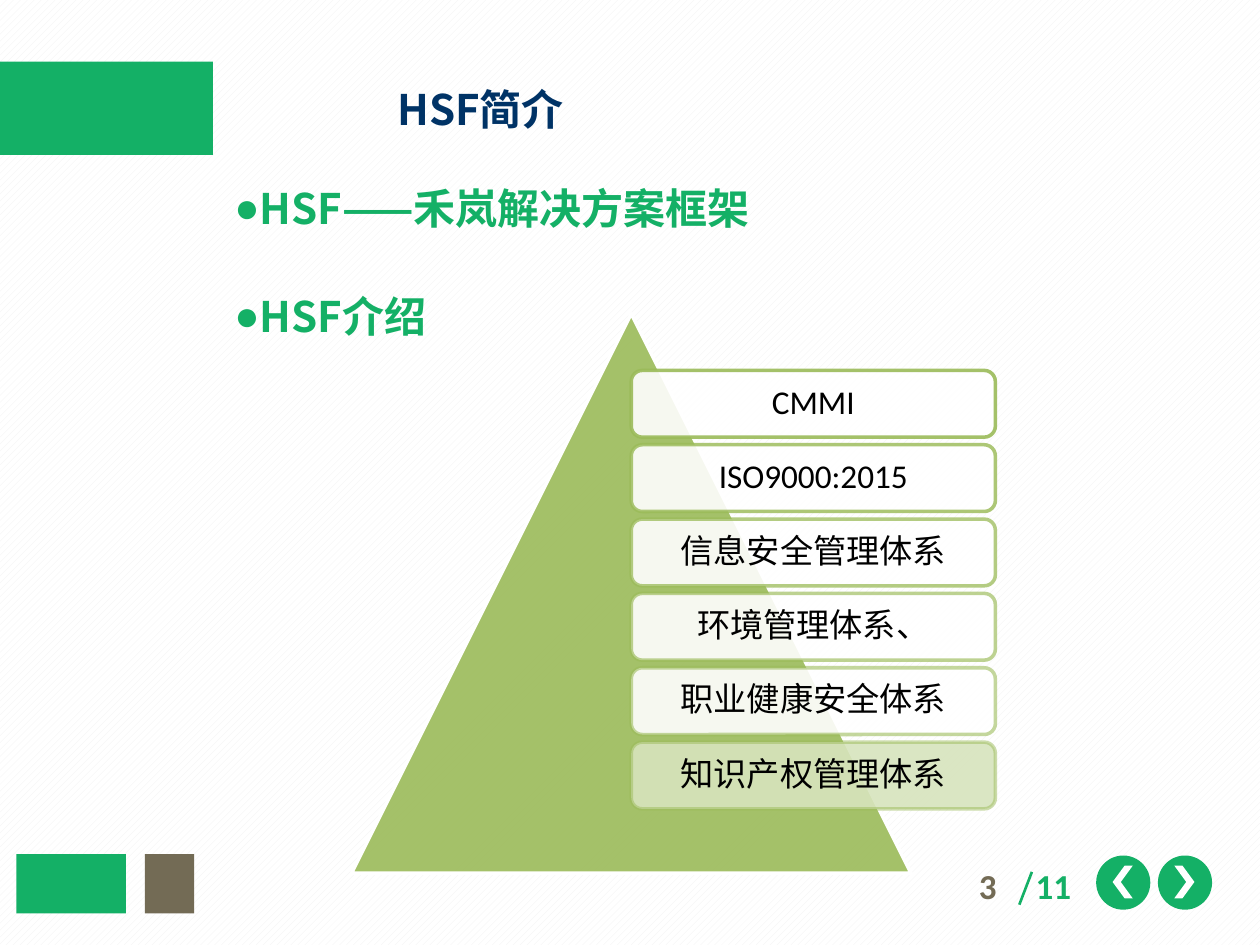
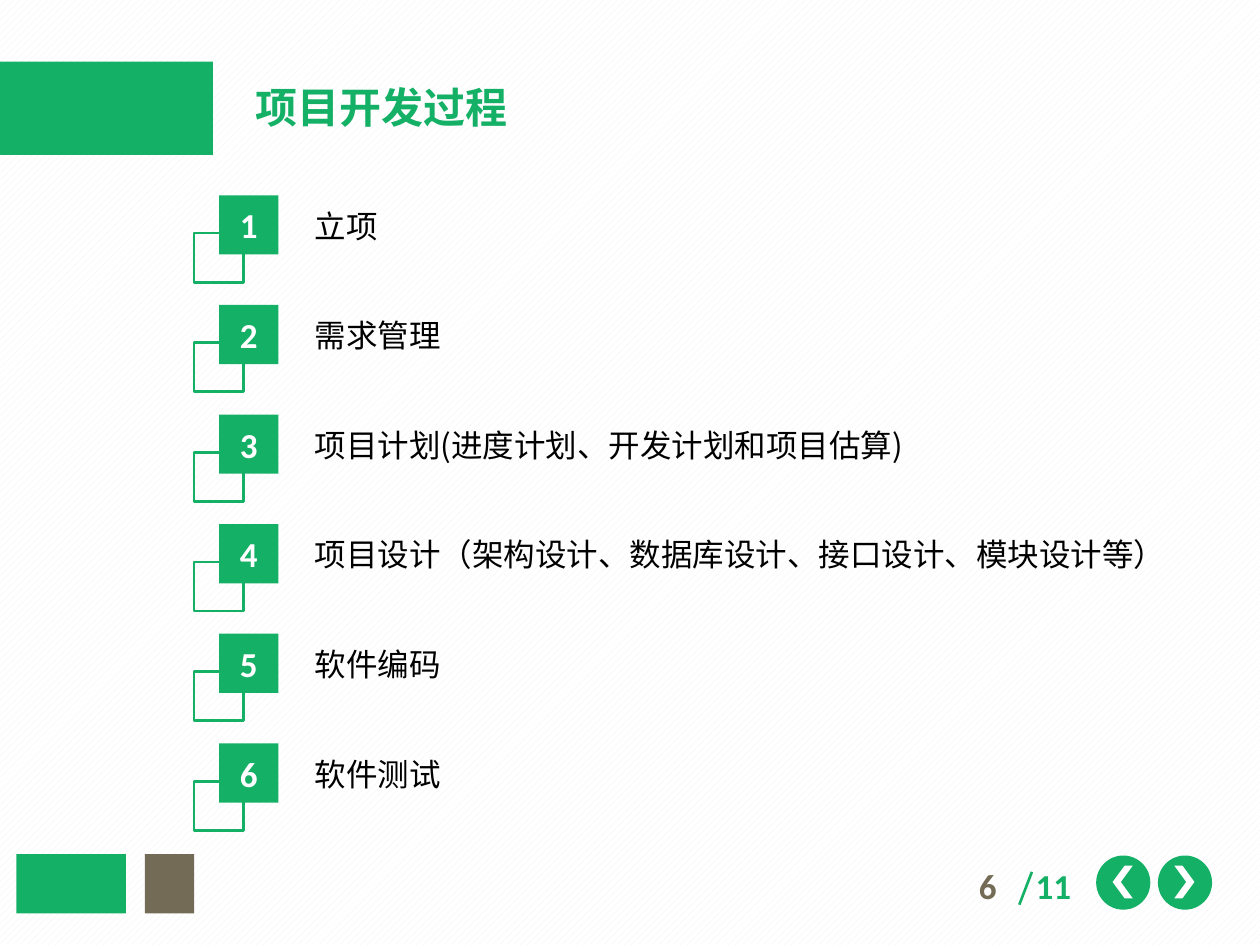
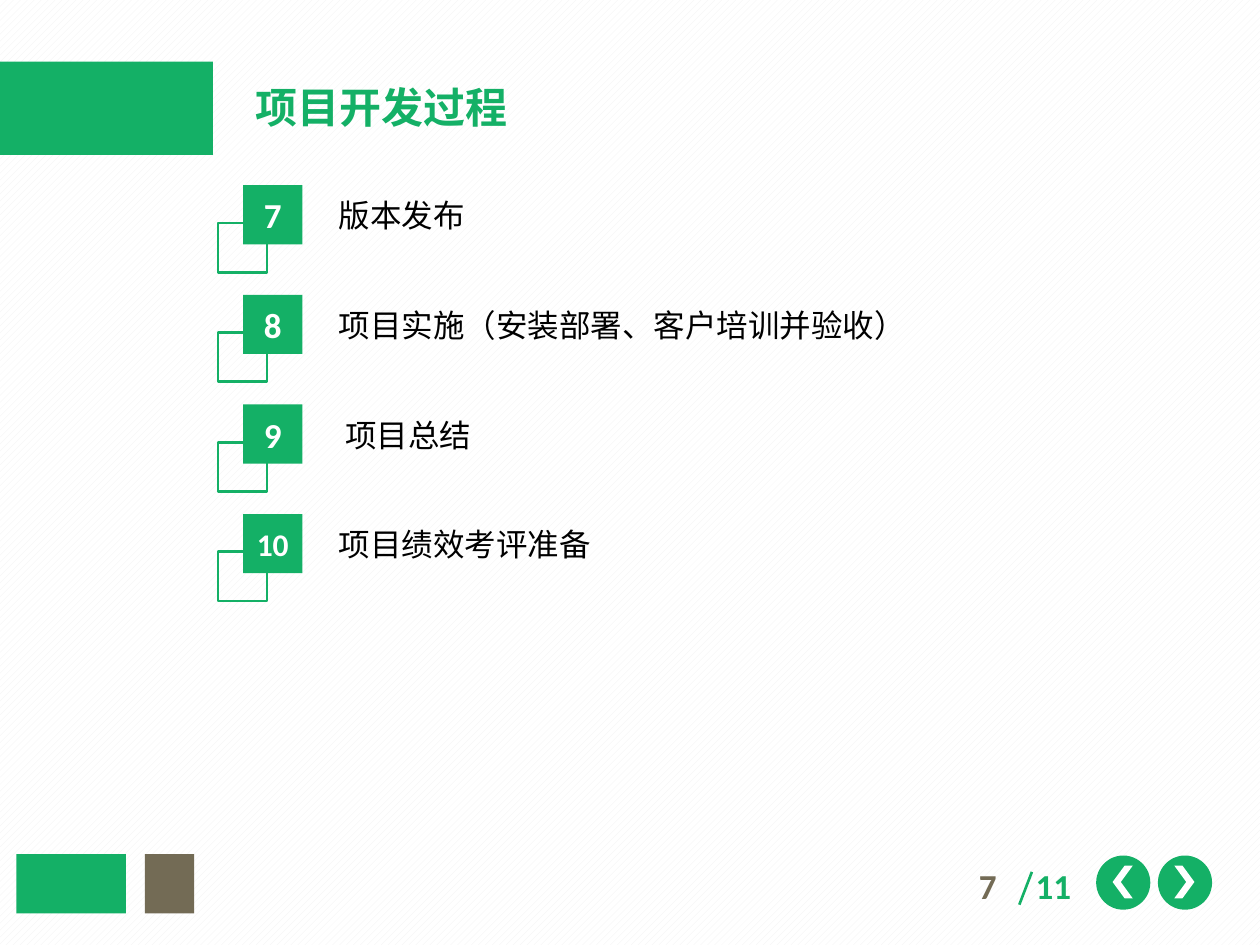
from pptx import Presentation
from pptx.dml.color import RGBColor
from pptx.enum.dml import MSO_PATTERN
from pptx.enum.shapes import MSO_CONNECTOR, MSO_SHAPE as SHAPE
from pptx.enum.text import MSO_ANCHOR as ANCHOR, MSO_AUTO_SIZE, PP_ALIGN as ALIGN
from pptx.oxml.ns import qn
from pptx.util import Inches, Pt
from lxml import etree

COLORS = {"green": "14B066", "brown": "736B55", "navy": "003366", "olive": "9BBB59",
          "pale": "D7E4BD", "white": "FFFFFF", "stripe": "F2F2F2", "black": "000000"}
RGB = {name: RGBColor.from_string(value) for name, value in COLORS.items()}
CJK = "Noto Sans CJK SC"


def add_shape(s, kind, x, y, w, h, fill=None, line=None, width=1.6, fill_alpha=100, line_alpha=100):
    sp = s.shapes.add_shape(kind, Inches(x), Inches(y), Inches(w), Inches(h))
    sp.shadow.inherit = False
    for fmt, color, alpha in ((sp.fill, fill, fill_alpha), (sp.line.fill, line, line_alpha)):
        if color:
            fmt.solid()
            fmt.fore_color.rgb = RGB[color]
        else:
            fmt.background()
    if line:
        sp.line.width = Pt(width)
    # Transparency: the fill colour comes first, then the line colour
    alphas = [a for c, a in ((fill, fill_alpha), (line, line_alpha)) if c]
    for clr, alpha in zip(sp._element.spPr.iter(qn("a:srgbClr")), alphas):
        if alpha < 100:
            etree.SubElement(clr, qn("a:alpha")).set("val", str(alpha * 1000))
    return sp


def add_run(p, text, size, color, font="Calibri", bold=False):
    r = p.add_run()
    r.text = text
    r.font.size = Pt(size)
    r.font.bold = bold
    r.font.color.rgb = RGB[color]
    r.font.name = font
    etree.SubElement(r._r.get_or_add_rPr(), qn("a:ea")).set("typeface", CJK)


prs = Presentation()
prs.slide_width, prs.slide_height = Inches(10), Inches(7.5)

# Layout index, page number, title, title box, title colour, title alignment
pages = [
    (1, "3", "HSF简介", (1.69, 0.49, 4.25, 0.74), "navy", ALIGN.CENTER),
    (5, "6", "项目开发过程", (1.93, 0.6, 2.22, 0.5), "green", ALIGN.LEFT),
    (5, "7", "项目开发过程", (1.93, 0.6, 2.22, 0.5), "green", ALIGN.LEFT),
]

# Shared background, bands, title and page navigation
for layout, number, title, box, color, align in pages:
    s = prs.slides.add_slide(prs.slide_layouts[layout])
    bg = s.background.fill
    bg.patterned()
    bg.pattern = MSO_PATTERN.WIDE_UPWARD_DIAGONAL
    bg.fore_color.rgb, bg.back_color.rgb = RGB["stripe"], RGB["white"]

    for x, y, w, h, fill in ((0.13, 6.78, 0.87, 0.47, "green"),
                             (1.15, 6.78, 0.39, 0.47, "brown"),
                             (0, 0.49, 1.69, 0.74, "green")):
        add_shape(s, SHAPE.RECTANGLE, x, y, w, h, fill)

    for x, turn in ((8.7, 180), (9.19, 0)):
        add_shape(s, SHAPE.OVAL, x, 6.79, 0.43, 0.43, "green")
        sp = add_shape(s, SHAPE.CHEVRON, x + 0.13, 6.87, 0.16, 0.26, "white")
        sp.adjustments[0] = 0.595
        sp.rotation = turn

    for x, w, text, c in ((7.67, 0.53, number, "brown"), (8.12, 0.49, "11", "green")):
        tf = s.shapes.add_textbox(Inches(x), Inches(6.81), Inches(w), Inches(0.44)).text_frame
        tf.word_wrap = False
        add_run(tf.paragraphs[0], text, 20, c, bold=True)
    slash = s.shapes.add_connector(MSO_CONNECTOR.STRAIGHT, Inches(8.19), Inches(6.92),
                                   Inches(8.09), Inches(7.18))
    slash.line.color.rgb = RGB["green"]
    slash.line.width = Pt(1.5)
    etree.SubElement(slash._element.spPr, qn("a:effectLst"))

    sp = s.shapes.title
    sp.left, sp.top, sp.width, sp.height = map(Inches, box)
    tf = sp.text_frame
    tf.auto_size = MSO_AUTO_SIZE.NONE
    tf.vertical_anchor = ANCHOR.MIDDLE
    tf.paragraphs[0].alignment = align
    add_run(tf.paragraphs[0], title, 24, color, CJK, True)

# Slide 1: bullet list
s = prs.slides[0]
sp = s.placeholders[1]
sp.left, sp.top, sp.width, sp.height = map(Inches, (1.06, 1.4, 7.87, 1.6))
tf = sp.text_frame
tf.auto_size = MSO_AUTO_SIZE.NONE
tf.vertical_anchor = ANCHOR.TOP
for i, text in enumerate(("HSF——禾岚解决方案框架", "HSF介绍")):
    p = tf.add_paragraph() if i else tf.paragraphs[0]
    p.space_before = Pt(33 * i)
    pPr = p._p.get_or_add_pPr()
    pPr.set("marL", str(Inches(0.2)))
    pPr.set("indent", str(Inches(0.5)))
    etree.SubElement(pPr, qn("a:buChar")).set("char", "●")
    add_run(p, text, 24, "green", CJK, True)

# Slide 1: pyramid of management systems
add_shape(s, SHAPE.ISOSCELES_TRIANGLE, 2.79, 2.49, 4.44, 4.44, "olive", "white", 2, fill_alpha=90)
systems = ["CMMI", "ISO9000:2015", "信息安全管理体系", "环境管理体系、",
           "职业健康安全体系", "知识产权管理体系"]
for i, text in enumerate(systems):
    fill = "pale" if i == len(systems) - 1 else "white"
    sp = add_shape(s, SHAPE.ROUNDED_RECTANGLE, 5.01, 2.94 + 0.59 * i, 2.89, 0.53, fill, "olive", 2,
                   fill_alpha=90, line_alpha=90 - 8 * i)
    tf = sp.text_frame
    tf.word_wrap = True
    tf.vertical_anchor = ANCHOR.MIDDLE
    tf.margin_top = tf.margin_bottom = 0
    p = tf.paragraphs[0]
    p.alignment = ALIGN.CENTER
    p.line_spacing = 0.9
    add_run(p, text, 19, "black")

# Slides 2 and 3: numbered steps, each with its text, text width and text shift
step_lists = [
    (prs.slides[1], 1.74, 1.55, 1, [
        ("立项", 0.71, 0),
        ("需求管理", 1.21, 0),
        ("项目计划(进度计划、开发计划和项目估算)", 4.9, 0),
        ("项目设计（架构设计、数据库设计、接口设计、模块设计等）", 7.02, 0),
        ("软件编码", 1.21, 0),
        ("软件测试", 1.21, 0)]),
    (prs.slides[2], 1.93, 1.47, 7, [
        ("版本发布", 1.21, 0),
        ("项目实施（安装部署、客户培训并验收）", 4.75, 0),
        ("项目总结", 1.21, 0.05),
        ("项目绩效考评准备", 2.22, 0)]),
]
for s, x, top, first, steps in step_lists:
    for i, (text, w, shift) in enumerate(steps):
        y = top + 0.87 * i
        number = str(first + i)
        add_shape(s, SHAPE.RECTANGLE, x - 0.2, y + 0.3, 0.39, 0.39, line="green")
        sp = add_shape(s, SHAPE.RECTANGLE, x, y, 0.47, 0.47, "green")
        tf = sp.text_frame
        tf.margin_left = tf.margin_right = 0
        tf.vertical_anchor = ANCHOR.MIDDLE
        tf.paragraphs[0].alignment = ALIGN.CENTER
        add_run(tf.paragraphs[0], number, 20 if len(number) == 1 else 18, "white", bold=True)

        tf = s.shapes.add_textbox(Inches(x + 0.66 + shift), Inches(y + 0.04),
                                  Inches(w), Inches(0.4)).text_frame
        tf.word_wrap = True
        add_run(tf.paragraphs[0], text, 18, "black", CJK)

prs.save("out.pptx")
